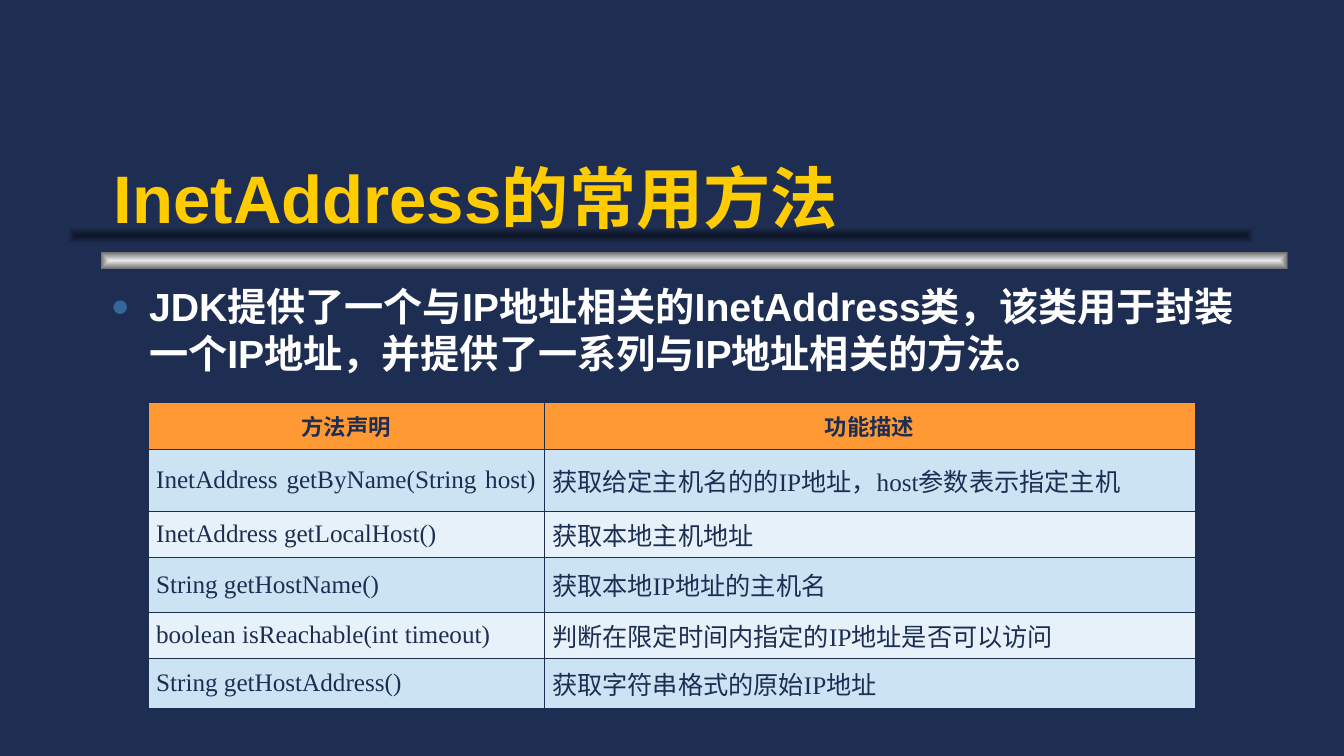
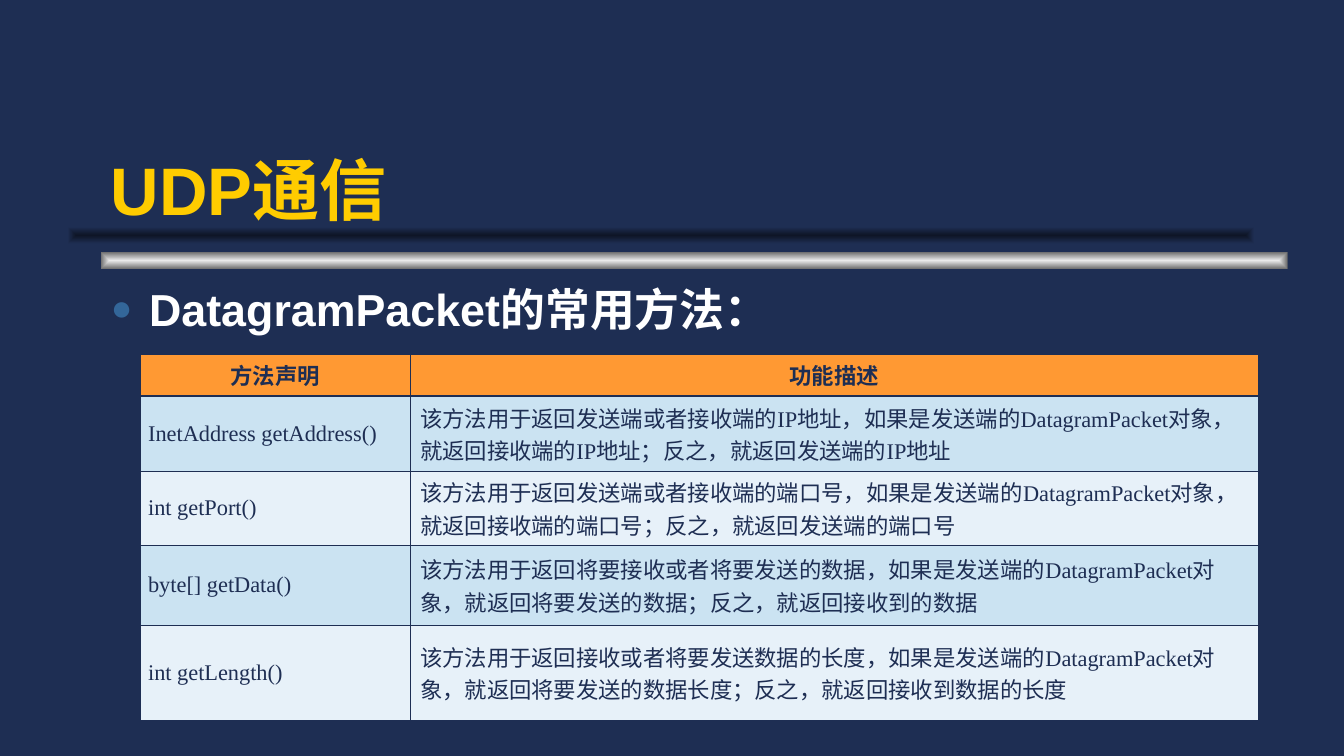
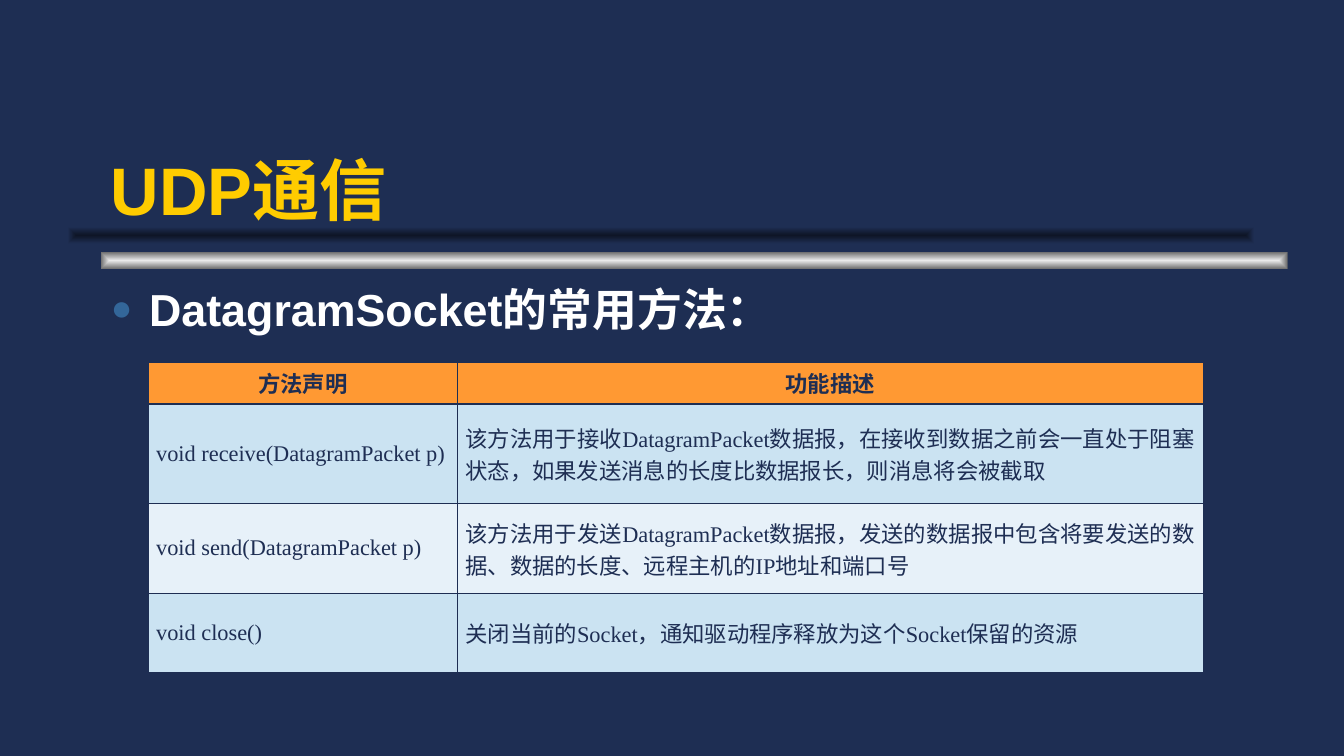
from lxml import etree
from pptx import Presentation
from pptx.dml.color import RGBColor
from pptx.enum.shapes import MSO_SHAPE
from pptx.enum.text import MSO_ANCHOR, MSO_AUTO_SIZE, PP_ALIGN
from pptx.oxml import parse_xml
from pptx.oxml.ns import nsdecls, qn
from pptx.util import Pt

PX = 9144
RECT = MSO_SHAPE.RECTANGLE
MIDDLE, BOTTOM, TOP = MSO_ANCHOR.MIDDLE, MSO_ANCHOR.BOTTOM, MSO_ANCHOR.TOP
LEFT, CENTER, JUSTIFY = PP_ALIGN.LEFT, PP_ALIGN.CENTER, PP_ALIGN.JUSTIFY
NO_FIT = MSO_AUTO_SIZE.NONE

COLORS = {
    "navy": "1E2E53",
    "shade": "0E1526",
    "silver": "EAEAEA",
    "gray": "6C6C6C",
    "gold": "FFCC00",
    "white": "FFFFFF",
    "bullet": "336699",
    "header": "FF9933",
    "odd": "CBE3F2",
    "even": "E7F1F9",
}
BANDS = [
    (100, 250, "silver", "gray"),
    (67, 225, "shade", "navy"),
]
HEADER = ("方法声明", "功能描述")
SLIDES = [
    {
        "title": "InetAddress的常用方法",
        "title_box": (103, 115, 1044, 125),
        "body": "JDK提供了一个与IP地址相关的InetAddress类，该类用于封装一个IP地址，并提供了一系列与IP地址相关的方法。",
        "body_box": (100, 275, 1173, 124),
        "body_size": 28,
        "table_at": (147, 399),
        "cols": (393, 646),
        "heights": (47, 61, 42, 54, 46, 49),
        "cell_size": 18,
        "align": JUSTIFY,
        "indent": 0,
        "rows": [
            ("InetAddress getByName(String host) ", "获取给定主机名的的IP地址，host参数表示指定主机"),
            ("InetAddress getLocalHost()", "获取本地主机地址"),
            ("String getHostName()", "获取本地IP地址的主机名"),
            ("boolean isReachable(int timeout)", "判断在限定时间内指定的IP地址是否可以访问"),
            ("String getHostAddress()", "获取字符串格式的原始IP地址"),
        ],
    },
    {
        "title": "UDP通信",
        "title_box": (100, 107, 1044, 125),
        "body": "DatagramPacket的常用方法：",
        "body_box": (100, 274, 1181, 85),
        "body_size": 32,
        "table_at": (139, 351),
        "cols": (268, 842),
        "heights": (39, 72, 62, 79, 94),
        "cell_size": 16,
        "align": LEFT,
        "indent": 2,
        "rows": [
            ("InetAddress getAddress()", "该方法用于返回发送端或者接收端的IP地址，如果是发送端的DatagramPacket对象，就返回接收端的IP地址；反之，就返回发送端的IP地址"),
            ("int getPort()", "该方法用于返回发送端或者接收端的端口号，如果是发送端的DatagramPacket对象，就返回接收端的端口号；反之，就返回发送端的端口号"),
            ("byte[] getData()", "该方法用于返回将要接收或者将要发送的数据，如果是发送端的DatagramPacket对象，就返回将要发送的数据；反之，就返回接收到的数据"),
            ("int getLength()", "该方法用于返回接收或者将要发送数据的长度，如果是发送端的DatagramPacket对象，就返回将要发送的数据长度；反之，就返回接收到数据的长度"),
        ],
    },
    {
        "title": "UDP通信",
        "title_box": (100, 107, 1044, 125),
        "body": "DatagramSocket的常用方法：",
        "body_box": (100, 274, 1181, 85),
        "body_size": 32,
        "table_at": (147, 359),
        "cols": (307, 740),
        "heights": (33, 98, 90, 78),
        "cell_size": 16,
        "align": JUSTIFY,
        "indent": 0,
        "rows": [
            ("void receive(DatagramPacket p)", "该方法用于接收DatagramPacket数据报，在接收到数据之前会一直处于阻塞状态，如果发送消息的长度比数据报长，则消息将会被截取"),
            ("void send(DatagramPacket p)", "该方法用于发送DatagramPacket数据报，发送的数据报中包含将要发送的数据、数据的长度、远程主机的IP地址和端口号"),
            ("void close()", "关闭当前的Socket，通知驱动程序释放为这个Socket保留的资源"),
        ],
    },
]


def add_run(p, text, size, font, color, bold):
    r = p.add_run()
    r.text = text
    r.font.size = Pt(size)
    r.font.name = font
    r.font.bold = bold
    r.font.color.rgb = RGBColor.from_string(COLORS[color])


def fill_placeholder(sp, box, anchor, text, size, color):
    sp.left, sp.top, sp.width, sp.height = [v * PX for v in box]
    tf = sp.text_frame
    tf.word_wrap = True
    tf.auto_size = NO_FIT
    tf.vertical_anchor = anchor
    p = tf.paragraphs[0]
    p.alignment = LEFT
    p.space_before = Pt(0)
    add_run(p, text, size, "Arial", color, True)
    return p


prs = Presentation()
prs.slide_width, prs.slide_height = 1334 * PX, 750 * PX
layout = prs.slide_layouts[1]
bg = layout.background.fill
bg.solid()
bg.fore_color.rgb = RGBColor.from_string(COLORS["navy"])
slides = [prs.slides.add_slide(layout) for _ in SLIDES]

for i, (x, y, inner, outer) in enumerate(BANDS):
    sp = slides[0].shapes.add_shape(RECT, x * PX, y * PX, 1178 * PX, 17 * PX)
    sp.shadow.inherit = False
    sp.line.fill.background()
    sp.fill.gradient()
    for stop, position, color in zip(sp.fill.gradient_stops, (0, 1), (inner, outer)):
        stop.position = position
        stop.color.rgb = RGBColor.from_string(COLORS[color])
    lin = sp.element.spPr.find(".//" + qn("a:lin"))
    lin.getparent().replace(lin, parse_xml(
        f'<a:path {nsdecls("a")} path="rect">'
        '<a:fillToRect l="50000" t="50000" r="50000" b="50000"/></a:path>'))
    sp.element.nvSpPr.cNvPr.set("id", str(20 + i))
    layout.shapes.element.insert(2 + i, sp.element)

for s, data in zip(slides, SLIDES):
    fill_placeholder(s.shapes.title, data["title_box"], BOTTOM, data["title"], 48, "gold")
    p = fill_placeholder(s.placeholders[1], data["body_box"], TOP, data["body"], data["body_size"], "white")
    pPr = p._p.get_or_add_pPr()
    pPr.set("marL", str(38 * PX))
    pPr.set("indent", str(-38 * PX))
    color = etree.SubElement(pPr, qn("a:buClr"))
    etree.SubElement(color, qn("a:srgbClr"), val=COLORS["bullet"])
    etree.SubElement(pPr, qn("a:buSzPct"), val="80000")
    etree.SubElement(pPr, qn("a:buFont"), typeface="Arial")
    etree.SubElement(pPr, qn("a:buChar"), char="●")

    rows = [HEADER] + data["rows"]
    x, y = data["table_at"]
    table = s.shapes.add_table(
        len(rows), 2, x * PX, y * PX, sum(data["cols"]) * PX, sum(data["heights"]) * PX).table
    table.horz_banding = False
    for column, width in zip(table.columns, data["cols"]):
        column.width = width * PX
    for i, (row, height) in enumerate(zip(table.rows, data["heights"])):
        row.height = height * PX
        for j, cell in enumerate(row.cells):
            cell.margin_left = cell.margin_right = 8 * PX
            cell.margin_top = cell.margin_bottom = 5 * PX
            cell.vertical_anchor = MIDDLE
            tcPr = cell._tc.get_or_add_tcPr()
            for side in "LRTB":
                thick = (i, side) in ((0, "B"), (1, "T"))
                ln = etree.SubElement(tcPr, qn(f"a:ln{side}"), w=str(Pt(1.47 if thick else 0.45)))
                solid = etree.SubElement(ln, qn("a:solidFill"))
                etree.SubElement(solid, qn("a:srgbClr"), val=COLORS["navy"])
            cell.fill.solid()
            fill = "header" if i == 0 else "odd" if i % 2 else "even"
            cell.fill.fore_color.rgb = RGBColor.from_string(COLORS[fill])
            p = cell.text_frame.paragraphs[0]
            pPr = p._p.get_or_add_pPr()
            pPr.set("hangingPunct", "0")
            if i == 0:
                p.alignment = CENTER
                add_run(p, rows[i][j], 16, "Calibri", "navy", True)
            else:
                p.alignment = data["align"] if j else JUSTIFY
                if j:
                    pPr.set("marL", str(data["indent"] * PX))
                add_run(p, rows[i][j], data["cell_size"], "Times New Roman", "navy", False)

prs.save("out.pptx")
